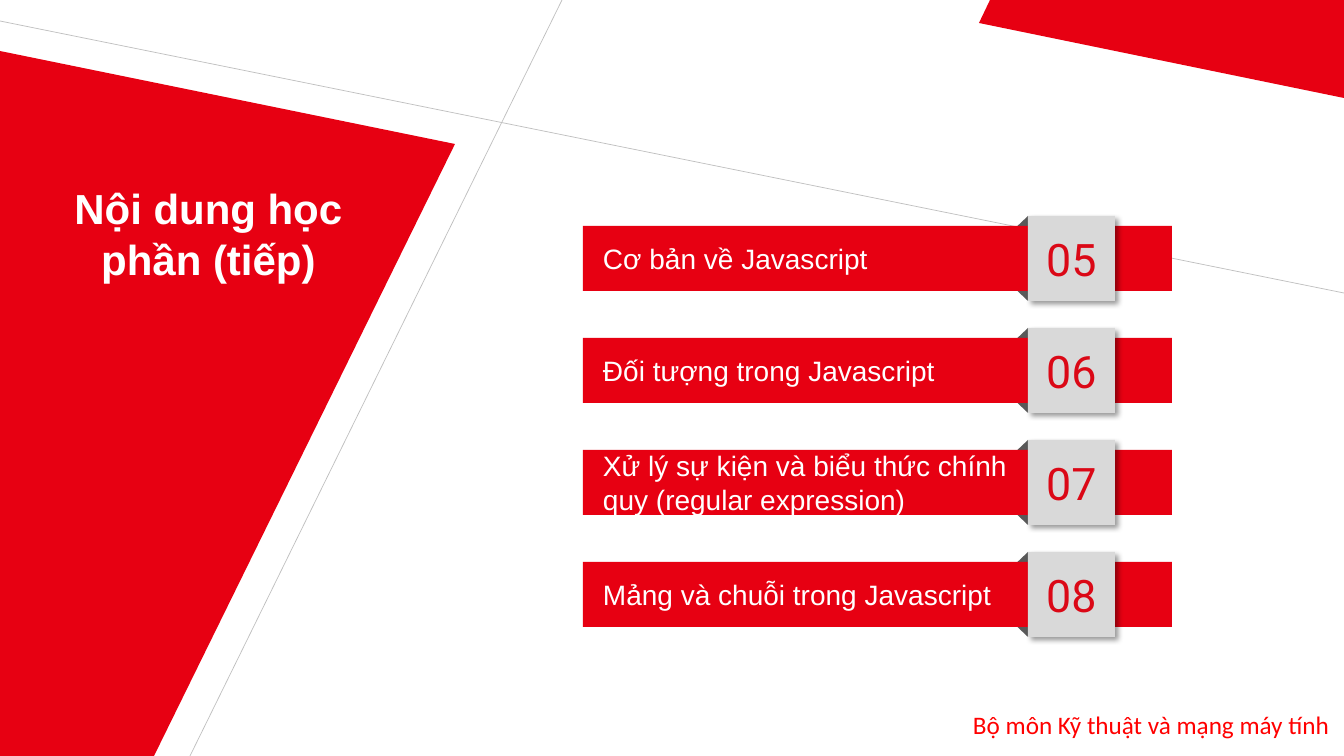
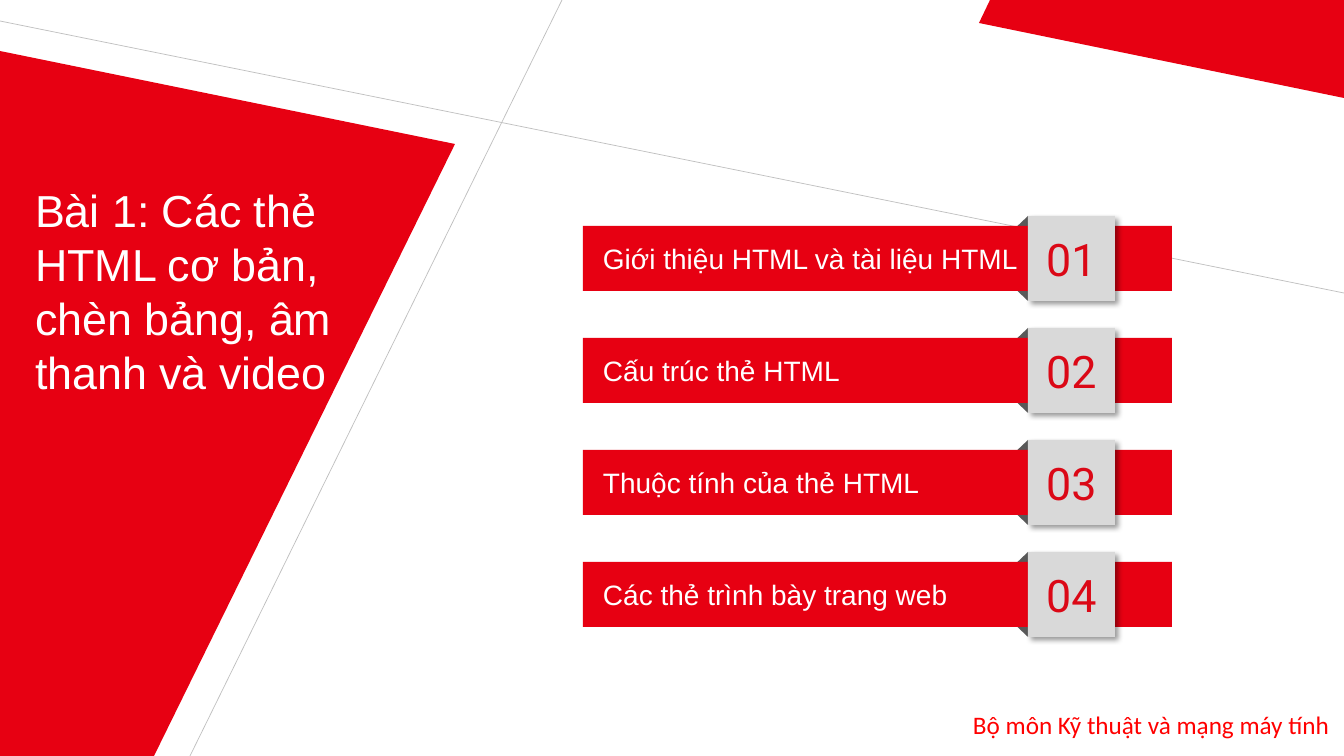
import dataclasses

import lxml.etree
import pptx
import pptx.dml.color
import pptx.enum.shapes
import pptx.enum.text
import pptx.oxml.ns
import pptx.util

SLIDE_W, SLIDE_H = 1344, 756
EMU_PER_PX = 12192000 / SLIDE_W
BAR_LEFT, BAR_TOP, BAR_W, BAR_H, BAR_PITCH = 583, 226, 589, 65, 112
BADGE_LEFT, BADGE_W, BADGE_H = 1028, 87, 85
FOLD_W, FOLD_H = 19, 18

SHAPES = pptx.enum.shapes.MSO_SHAPE
ALIGN = pptx.enum.text.PP_ALIGN
ANCHOR = pptx.enum.text.MSO_ANCHOR


@dataclasses.dataclass(frozen=True)
class Theme:
    red: str = "E70012"
    number_red: str = "DB0816"
    footer_red: str = "FF0000"
    white: str = "FFFFFF"
    badge_gray: str = "D9D9D9"
    fold_gray: str = "595959"
    rule_gray: str = "BFBFBF"
    shadow: str = "000000"
    font: str = "Arial"
    number_font: str = "Roboto"
    footer_font: str = "Calibri"
    heading_size: int = 30
    lesson_size: int = 32
    topic_size: int = 20
    number_size: int = 32
    footer_size: int = 18
    rule_width: float = 0.5


def px(length):
    return pptx.util.Emu(round(length * EMU_PER_PX))


def rgb(color):
    return pptx.dml.color.RGBColor.from_string(color)


def write(frame, text, *, size, color, font, bold=False, align=ALIGN.LEFT,
          anchor=ANCHOR.TOP, insets=(10, 5, 10, 5)):
    frame.word_wrap = True
    frame.auto_size = pptx.enum.text.MSO_AUTO_SIZE.NONE
    frame.vertical_anchor = anchor
    frame.margin_left, frame.margin_top, frame.margin_right, frame.margin_bottom = map(px, insets)
    frame.text = text
    for paragraph in frame.paragraphs:
        paragraph.alignment = align
        paragraph.font.size = pptx.util.Pt(size)
        paragraph.font.bold = bold
        for run in paragraph.runs:
            run.font.size = pptx.util.Pt(size)
            run.font.bold = bold
            run.font.name = font
            run.font.color.rgb = rgb(color)


class Deck:
    def __init__(self, theme):
        self.theme = theme
        self.presentation = pptx.Presentation()
        self.presentation.slide_width = px(SLIDE_W)
        self.presentation.slide_height = px(SLIDE_H)
        self.layout = self.presentation.slide_layouts.get_by_name("Title Only")
        self.slide = None

    def add_slide(self):
        self.slide = self.presentation.slides.add_slide(self.layout)

    def paint(self, shape, color):
        shape.shadow.inherit = False
        shape.fill.solid()
        shape.fill.fore_color.rgb = rgb(color)
        shape.line.fill.background()
        return shape

    def box(self, kind, left, top, width, height, color):
        shape = self.slide.shapes.add_shape(kind, px(left), px(top), px(width), px(height))
        return self.paint(shape, color)

    def panel(self, *corners):
        builder = self.slide.shapes.build_freeform(*corners[0], scale=EMU_PER_PX)
        builder.add_line_segments(corners[1:], close=True)
        return self.paint(builder.convert_to_shape(), self.theme.red)

    def rule(self, start, end):
        rule = self.slide.shapes.add_connector(
            pptx.enum.shapes.MSO_CONNECTOR.STRAIGHT, *map(px, start + end))
        rule.line.color.rgb = rgb(self.theme.rule_gray)
        rule.line.width = pptx.util.Pt(self.theme.rule_width)
        lxml.etree.SubElement(rule.element.spPr, pptx.oxml.ns.qn("a:effectLst"))
        return rule

    def footer(self, text):
        footer = self.slide.shapes.add_textbox(px(963), px(704), px(381), px(40))
        write(footer.text_frame, text, size=self.theme.footer_size,
              color=self.theme.footer_red, font=self.theme.footer_font)
        return footer

    def share_backdrop(self, footer_text):
        backdrop = [
            self.panel((0, 51), (455, 144), (154, SLIDE_H), (0, SLIDE_H)),
            self.rule((190, SLIDE_H), (562, 0)),
            self.rule((0, 21), (SLIDE_W, 293)),
            self.panel((990, 0), (SLIDE_W, 0), (SLIDE_W, 98), (979, 23)),
            self.footer(footer_text),
        ]
        for order, part in enumerate(backdrop):
            part.element.xpath(".//p:cNvPr")[0].set("id", str(100 + order))
            self.layout.shapes.element.insert(2 + order, part.element)

    def title(self, text, height, **style):
        title = self.slide.shapes.title
        title.left, title.top, title.width, title.height = map(px, (25, 178, 367, height))
        write(title.text_frame, text, color=self.theme.white, font=self.theme.font, **style)

    def fold(self, top, flipped=False):
        fold = self.box(SHAPES.ISOSCELES_TRIANGLE, BADGE_LEFT - FOLD_W, top,
                        FOLD_W, FOLD_H, self.theme.fold_gray)
        fold.adjustments[0] = 1
        if flipped:
            fold.element.spPr.xfrm.set("flipV", "1")

    def cast_shadow(self, shape):
        qn = pptx.oxml.ns.qn
        effects = shape.element.spPr.find(qn("a:effectLst"))
        shadow = lxml.etree.SubElement(
            effects, qn("a:outerShdw"), blurRad=str(pptx.util.Pt(4)),
            dist=str(pptx.util.Pt(3)), dir="2700000", algn="tl", rotWithShape="0")
        color = lxml.etree.SubElement(shadow, qn("a:srgbClr"), val=self.theme.shadow)
        lxml.etree.SubElement(color, qn("a:alpha"), val="40000")

    def topic(self, row, number, text):
        theme = self.theme
        bar_top = BAR_TOP + row * BAR_PITCH
        badge_top = bar_top - (BADGE_H - BAR_H) // 2
        self.fold(badge_top + BADGE_H - FOLD_H, flipped=True)
        self.fold(badge_top)
        bar = self.box(SHAPES.RECTANGLE, BAR_LEFT, bar_top, BAR_W, BAR_H, theme.red)
        write(bar.text_frame, text, size=theme.topic_size, color=theme.white,
              font=theme.font, anchor=ANCHOR.MIDDLE, insets=(20, 5, 10, 5))
        badge = self.box(SHAPES.RECTANGLE, BADGE_LEFT, badge_top, BADGE_W, BADGE_H,
                         theme.badge_gray)
        self.cast_shadow(badge)
        write(badge.text_frame, f"{number:02}", size=theme.number_size,
              color=theme.number_red, font=theme.number_font, align=ALIGN.CENTER,
              anchor=ANCHOR.MIDDLE, insets=(0, 0, 0, 0))

    def topics(self, first_number, texts):
        for row, text in enumerate(texts):
            self.topic(row, first_number + row, text)


def main():
    theme = Theme()
    deck = Deck(theme)

    deck.add_slide()
    deck.share_backdrop("Bộ môn Kỹ thuật và mạng máy tính")
    deck.title("Nội dung học phần (tiếp)", 112, size=theme.heading_size,
               bold=True, align=ALIGN.CENTER)
    deck.topics(5, [
        "Cơ bản về Javascript",
        "Đối tượng trong Javascript",
        "Xử lý sự kiện và biểu thức chính\nquy (regular expression)",
        "Mảng và chuỗi trong Javascript",
    ])

    deck.add_slide()
    deck.title("Bài 1: Các thẻ HTML cơ bản, chèn bảng, âm thanh và video", 278,
               size=theme.lesson_size)
    deck.topics(1, [
        "Giới thiệu HTML và tài liệu HTML",
        "Cấu trúc thẻ HTML",
        "Thuộc tính của thẻ HTML",
        "Các thẻ trình bày trang web",
    ])

    deck.presentation.save("out.pptx")


if __name__ == "__main__":
    main()
